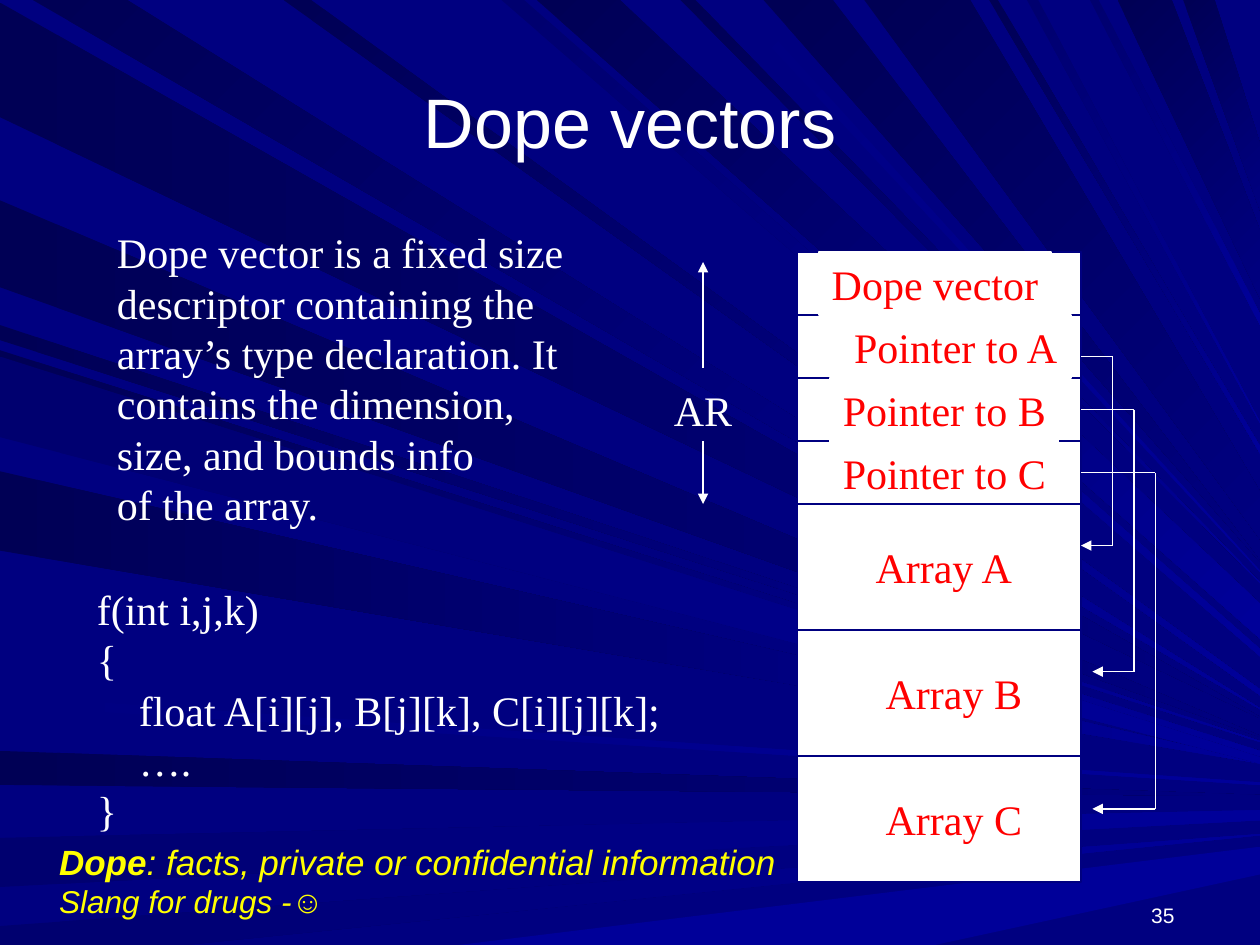
from lxml.etree import SubElement
from pptx import Presentation
from pptx.dml.color import RGBColor
from pptx.enum.shapes import MSO_CONNECTOR as CONN, MSO_SHAPE as SHAPE
from pptx.enum.text import MSO_ANCHOR as ANCHOR, MSO_AUTO_SIZE as AUTO, PP_ALIGN as ALIGN
from pptx.oxml.ns import qn
from pptx.util import Pt

PX = 9144  # one px is a hundredth of an inch
W, H = 1000, 750
rgb = RGBColor.from_string
WHITE, NAVY, RED, YELLOW = "FFFFFF", "000080", "FF0000", "FFFF00"
DEEP, DUSK, BLUE = "000055", "00006F", "000099"
SERIF, SANS = "Times New Roman", "Arial"

prs = Presentation()
prs.slide_width, prs.slide_height = W * PX, H * PX
s = prs.slides.add_slide(prs.slide_layouts[5])
s.background.fill.solid()
s.background.fill.fore_color.rgb = rgb(NAVY)


def write(sp, lines, size=24, font=SERIF, color=WHITE, align=ALIGN.LEFT, wrap=False):
    tf = sp.text_frame
    tf.word_wrap = wrap
    tf.auto_size = AUTO.NONE
    tf.vertical_anchor = ANCHOR.TOP
    tf.text = "\n".join(lines)
    for p in tf.paragraphs:
        p.alignment = align
        p.line_spacing = Pt(size * 1.2)
        p.font.size, p.font.name = Pt(size), font
        p.font.color.rgb = rgb(color)
    return tf


def line(x1, y1, x2, y2, color=WHITE, arrow=False):
    c = s.shapes.add_connector(CONN.STRAIGHT, x1 * PX, y1 * PX, x2 * PX, y2 * PX)
    c.line.color.rgb = rgb(color)
    c.line.width = Pt(1)
    if arrow:
        SubElement(c.line._get_or_add_ln(), qn("a:tailEnd"), type="triangle")
    SubElement(c._element.spPr, qn("a:effectLst"))
    return c


# Background rays, each from a span of the left or top edge to one of the right edge
left_rays = [
    (DEEP, NAVY, 2, 93, 569, 570), (DUSK, BLUE, 665, 704, 643, 651),
    (DUSK, BLUE, 735, 765, 662, 663), (DEEP, BLUE, 258, 270, 588, 589),
    (DEEP, NAVY, 159, 228, 584, 585), (DEEP, NAVY, 596, 623, 631, 632),
    (DEEP, BLUE, 278, 342, 596, 602), (DEEP, BLUE, 374, 437, 605, 606),
    (NAVY, BLUE, 552, 560, 621, 623), (DUSK, BLUE, 283, 347, 601, 606),
]
top_rays = [
    (DEEP, BLUE, 26, 101, 562, 563), (DUSK, BLUE, 398, 416, 515, 521),
    (DEEP, BLUE, 426, 492, 479, 507), (DEEP, BLUE, 540, 552, 462, 463),
    (DEEP, NAVY, 606, 661, 445, 446), (DEEP, NAVY, 887, 930, 183, 237),
    (DEEP, NAVY, 939, 964, 114, 167), (DEEP, BLUE, 225, 247, 547, 552),
    (NAVY, BLUE, 577, 588, 453, 454), (DEEP, NAVY, 686, 770, 390, 428),
    (DEEP, BLUE, 785, 792, 354, 360), (DUSK, BLUE, 815, 824, 335, 336),
    (DUSK, BLUE, 865, 872, 249, 258),
]
rays = [(c1, c2, 0, [(0, a), (0, b), (W, low), (W, high)])
        for c1, c2, a, b, high, low in left_rays]
rays += [(c1, c2, 45, [(a, 0), (b, 0), (W, high), (W, low)])
         for c1, c2, a, b, high, low in top_rays]
rays.append((BLUE, BLUE, 0, [(364, H), (742, H), (W, 694), (W, 672), (756, 702)]))
for start, end, angle, points in rays:
    outline = s.shapes.build_freeform(*points[0], scale=PX)
    outline.add_line_segments(points[1:], close=True)
    sp = outline.convert_to_shape()
    sp.shadow.inherit = False
    sp.line.fill.background()
    sp.fill.gradient()
    sp.fill.gradient_angle = 360 - angle
    for stop, color in zip(sp.fill.gradient_stops, (start, end)):
        stop.color.rgb = rgb(color)

# Title, brought in front of the rays
title = s.shapes.title
title.element.getparent().append(title.element)
title.left, title.top, title.width, title.height = 50 * PX, 50 * PX, 900 * PX, 92 * PX
title.text_frame.text = "Dope vectors"
title.text_frame.vertical_anchor = ANCHOR.MIDDLE
p = title.text_frame.paragraphs[0]
p.alignment = ALIGN.CENTER
p.font.size, p.font.name = Pt(40), SANS
p.font.color.rgb = rgb(WHITE)

# Slide number
sp = s.shapes.add_textbox(875 * PX, 708 * PX, 67 * PX, 33 * PX)
write(sp, ["35"], 12, SANS, align=ALIGN.RIGHT, wrap=True).vertical_anchor = ANCHOR.BOTTOM

# Memory stack with its row dividers and labels
LEFT, RIGHT = 633, 858
stack = s.shapes.add_shape(SHAPE.RECTANGLE, LEFT * PX, 200 * PX, (RIGHT - LEFT) * PX, 500 * PX)
stack.shadow.inherit = False
stack.fill.solid()
stack.fill.fore_color.rgb = rgb(WHITE)
stack.line.color.rgb = rgb(NAVY)
stack.line.width = Pt(1)
for y in (250, 300, 350):
    line(LEFT, y, RIGHT, y, NAVY)
labels = [
    ("Pointer to A", 667, 250, 183), ("Pointer to B", 659, 300, 181),
    ("Pointer to C", 659, 350, 181), ("Array A", 684, 425, 130),
    ("Array B", 693, 525, 128), ("Array C", 693, 625, 128),
    ("Dope vector", 650, 200, 184),
]
for text, x, y, w in labels:
    sp = s.shapes.add_shape(SHAPE.RECTANGLE, x * PX, y * PX, w * PX, 50 * PX)
    sp.shadow.inherit = False
    sp.fill.background()
    sp.line.color.rgb = rgb(WHITE)
    sp.line.width = Pt(1)
    write(sp, [text], color=RED, align=ALIGN.CENTER)
for y in (400, 500, 600):
    line(LEFT, y, RIGHT, y, NAVY)

# Each pointer's route to its array
for y1, bend, y2, tip in ((283, 883, 433, 858), (325, 900, 533, 867), (375, 917, 642, 867)):
    line(RIGHT, y1, bend, y1)
    line(bend, y1, bend, y2)
    line(bend, y2, tip, y2, arrow=True)

# Extent of the activation record
ar = s.shapes.add_textbox(525 * PX, 300 * PX, 66 * PX, 50 * PX)
write(ar, ["AR"], align=ALIGN.CENTER)
line(558, 292, 558, 208, arrow=True)
line(558, 350, 558, 400, arrow=True).begin_connect(ar, 2)

# Code sample
sp = s.shapes.add_textbox(67 * PX, 458 * PX, 469 * PX, 210 * PX)
write(sp, ["f(int i,j,k)", "{", "    float A[i][j], B[j][k], C[i][j][k];", "    ….", "}"])

# Description
sp = s.shapes.add_textbox(83 * PX, 175 * PX, 425 * PX, 250 * PX)
write(sp, ["Dope vector is a fixed size", "descriptor containing the",
           "array’s type declaration. It", "contains the dimension,",
           "size, and bounds info", "of the array."], wrap=True)

# Meaning of the word
sp = s.shapes.add_textbox(37 * PX, 662 * PX, 589 * PX, 74 * PX)
tf = write(sp, ["Dope", "Slang for drugs -☺"], 20, SANS, YELLOW)
term, slang = tf.paragraphs
term.font.italic = slang.font.italic = True
term.runs[0].font.bold = True
term.add_run().text = ": facts, private or confidential information"
slang.font.size, slang.line_spacing = Pt(18), Pt(21.6)

prs.save("out.pptx")
